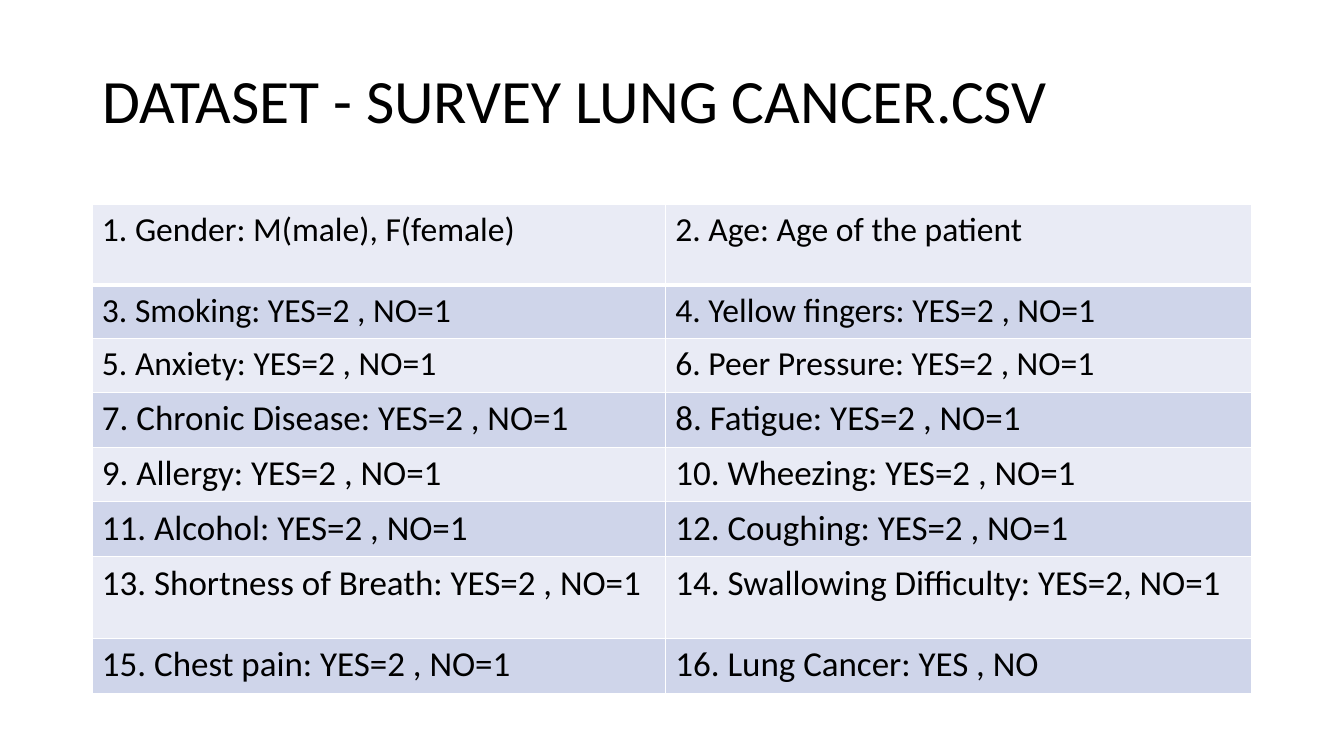
from lxml import etree
from pptx import Presentation
from pptx.dml.color import RGBColor
from pptx.enum.text import MSO_ANCHOR
from pptx.oxml.ns import qn
from pptx.util import Cm, Pt

MIDDLE = MSO_ANCHOR.MIDDLE

TITLE = "DATASET - SURVEY LUNG CANCER.CSV"
FIELDS = [
    ("Gender: M(male), F(female)", "Age: Age of the patient"),
    ("Smoking: YES=2 , NO=1", "Yellow fingers: YES=2 , NO=1"),
    ("Anxiety: YES=2 , NO=1", "Peer Pressure: YES=2 , NO=1"),
    ("Chronic Disease: YES=2 , NO=1", "Fatigue: YES=2 , NO=1"),
    ("Allergy: YES=2 , NO=1", "Wheezing: YES=2 , NO=1"),
    ("Alcohol: YES=2 , NO=1", "Coughing: YES=2 , NO=1"),
    ("Shortness of Breath: YES=2 , NO=1", "Swallowing Difficulty: YES=2, NO=1"),
    ("Chest pain: YES=2 , NO=1", "Lung Cancer: YES , NO"),
]
WIDTHS = [14.45, 14.76]
HEIGHTS = [2.03, 1.35, 1.35, 1.38, 1.38, 1.38, 2.06, 1.38]
SIZES = [24] * 3 + [25] * 5
LEFT = 2.33
COLORS = {"text": "000000", "line": "FFFFFF", "light": "E9EBF5", "dark": "CFD5EA"}
BANDS = ["light", "dark"]
FRAME = {"word_wrap": True, "vertical_anchor": MIDDLE}
INSETS = {
    "margin_left": Cm(0.24),
    "margin_right": Cm(0.24),
    "margin_top": Cm(0.13),
    "margin_bottom": Cm(0.13),
}
FLAGS = {"first_row": False, "horz_banding": False}


def apply(item, values):
    for name, value in values.items():
        setattr(item, name, value)


def write(frame, text, size):
    run = frame.paragraphs[0].add_run()
    run.text = text
    apply(run.font, {"name": "Calibri", "size": Pt(size), "bold": False})
    run.font.color.rgb = RGBColor.from_string(COLORS["text"])


def border(cell, widths):
    props = cell._tc.get_or_add_tcPr()
    for side, width in widths.items():
        line = etree.SubElement(props, qn("a:ln" + side), w=str(Pt(width)))
        fill = etree.SubElement(line, qn("a:solidFill"))
        etree.SubElement(fill, qn("a:srgbClr"), val=COLORS["line"])


def add_title(slide):
    box = slide.shapes.add_textbox(Cm(LEFT), Cm(0.51), Cm(sum(WIDTHS)), Cm(4.19))
    apply(box.text_frame, FRAME)
    box.text_frame.paragraphs[0].line_spacing = 0.9
    write(box.text_frame, TITLE, 44)


def add_fields(slide):
    grid = slide.shapes.add_table(
        len(FIELDS), len(WIDTHS), Cm(LEFT), Cm(5.16),
        Cm(sum(WIDTHS)), Cm(sum(HEIGHTS)),
    ).table
    apply(grid, FLAGS)
    for col, width in zip(grid.columns, WIDTHS):
        col.width = Cm(width)
    for r, pair in enumerate(FIELDS):
        grid.rows[r].height = Cm(HEIGHTS[r])
        for c, field in enumerate(pair):
            cell = grid.cell(r, c)
            apply(cell, INSETS)
            border(cell, {"L": 1, "R": 1, "T": 3 if r == 1 else 1, "B": 3 if r == 0 else 1})
            cell.fill.solid()
            cell.fill.fore_color.rgb = RGBColor.from_string(COLORS[BANDS[r % 2]])
            number = r * len(WIDTHS) + c + 1
            write(cell.text_frame, f"{number}. {field}", SIZES[r])


def main():
    deck = Presentation()
    apply(deck, {"slide_width": Cm(33.87), "slide_height": Cm(19.05)})
    slide = deck.slides.add_slide(deck.slide_layouts[6])
    add_title(slide)
    add_fields(slide)
    deck.save("out.pptx")


if __name__ == "__main__":
    main()
